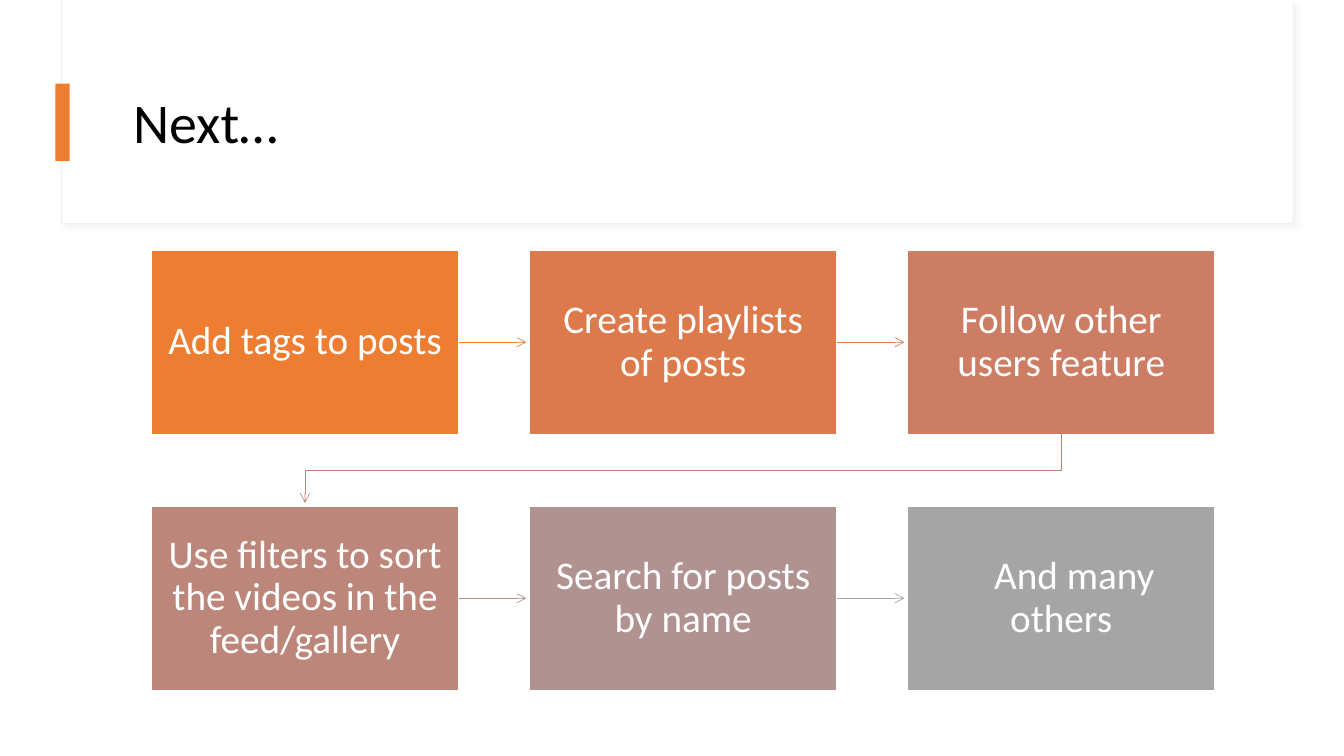
from lxml import etree
from pptx import Presentation
from pptx.dml.color import RGBColor
from pptx.enum.shapes import MSO_CONNECTOR, MSO_SHAPE
from pptx.enum.text import MSO_ANCHOR, MSO_AUTO_SIZE, PP_ALIGN
from pptx.oxml import parse_xml
from pptx.oxml.ns import nsdecls, qn
from pptx.util import Inches, Pt

RECT = MSO_SHAPE.RECTANGLE
STRAIGHT = MSO_CONNECTOR.STRAIGHT
MIDDLE = MSO_ANCHOR.MIDDLE
NO_AUTOFIT = MSO_AUTO_SIZE.NONE
LEFT, CENTER = PP_ALIGN.LEFT, PP_ALIGN.CENTER

FONT = "Calibri"
BLACK = RGBColor(0x00, 0x00, 0x00)
WHITE = RGBColor(0xFF, 0xFF, 0xFF)
PALE = RGBColor(0xEF, 0xEF, 0xEF)
ORANGE = RGBColor(0xED, 0x7D, 0x31)
GREY = RGBColor(0xA5, 0xA5, 0xA5)

# Text, box colour, colour of the arrow to the next step
STEPS = [
    ("Add tags to posts", ORANGE, ORANGE),
    ("Create playlists of posts", RGBColor(0xDC, 0x7A, 0x4B), RGBColor(0xD8, 0x7A, 0x51)),
    ("Follow other users feature", RGBColor(0xCC, 0x7D, 0x64), RGBColor(0xC4, 0x81, 0x70)),
    ("Use filters to sort the videos in the feed/gallery",
     RGBColor(0xBD, 0x86, 0x7B), RGBColor(0xB4, 0x90, 0x8B)),
    ("Search for posts by name", RGBColor(0xB0, 0x93, 0x91), GREY),
    ("And many others", GREY, None),
]
COLUMNS = 3
GRID_LEFT, GRID_TOP = 1.5, 2.48
BOX_W, BOX_H = 3.05, 1.83
STEP_X, STEP_Y = 3.75, 2.54
ARROW_GAP = 0.03


class FlowSlide:
    def __init__(self, prs):
        self.slide = prs.slides.add_slide(prs.slide_layouts[5])
        self.shapes = self.slide.shapes

    def rect(self, x, y, w, h, fill, line=None, width=0.75):
        sp = self.shapes.add_shape(RECT, Inches(x), Inches(y), Inches(w), Inches(h))
        sp.shadow.inherit = False
        sp.fill.solid()
        sp.fill.fore_color.rgb = fill
        if line is None:
            sp.line.fill.background()
        else:
            sp.line.color.rgb = line
            sp.line.width = Pt(width)
        return sp

    def soft_shadow(self, sp):
        effects = sp._element.spPr.find(qn("a:effectLst"))
        effects.append(parse_xml(
            f'<a:outerShdw {nsdecls("a")} blurRad="{Pt(4)}" dist="{Pt(3)}" dir="2700000" '
            'algn="tl" rotWithShape="0"><a:srgbClr val="D9D9D9">'
            '<a:alpha val="30000"/></a:srgbClr></a:outerShdw>'))

    def set_text(self, sp, text, size, color, align):
        tf = sp.text_frame
        tf.text = text
        tf.word_wrap = True
        tf.auto_size = NO_AUTOFIT
        tf.vertical_anchor = MIDDLE
        p = tf.paragraphs[0]
        p.alignment = align
        p.line_spacing = 0.9
        font = p.runs[0].font
        font.name, font.size, font.color.rgb = FONT, Pt(size), color
        return p

    def title(self, text, x, y, w, h):
        sp = self.shapes.title
        sp.left, sp.top, sp.width, sp.height = (Inches(v) for v in (x, y, w, h))
        self.set_text(sp, text, 40, BLACK, LEFT)
        self.shapes._spTree.append(sp._element)  # in front of the panel

    def box(self, x, y, text, fill):
        sp = self.rect(x, y, BOX_W, BOX_H, fill, WHITE, 1)
        tf = sp.text_frame
        tf.margin_left = tf.margin_right = Inches(0.15)
        tf.margin_top = tf.margin_bottom = Inches(0.16)
        return self.set_text(sp, text, 28, WHITE, CENTER)

    def arrow(self, points, color):
        """Draw an open-headed line through two or more points."""
        points = [(Inches(x), Inches(y)) for x, y in points]
        if len(points) == 2:
            sp = self.shapes.add_connector(STRAIGHT, *points[0], *points[1])
            etree.SubElement(sp._element.spPr, qn("a:effectLst"))
        else:
            builder = self.shapes.build_freeform(*points[0])
            builder.add_line_segments(points[1:], close=False)
            sp = builder.convert_to_shape()
            sp.shadow.inherit = False
            sp.fill.background()
        sp.line.color.rgb = color
        sp.line.width = Pt(0.5)
        ln = sp._element.spPr.find(qn("a:ln"))
        etree.SubElement(ln, qn("a:tailEnd"), type="arrow")


def main():
    prs = Presentation()
    prs.slide_width, prs.slide_height = Inches(13.33), Inches(7.5)
    s = FlowSlide(prs)

    s.soft_shadow(s.rect(0.61, 0.01, 12.21, 2.21, WHITE, PALE))
    s.rect(0.62, 0, 12.2, 2.2, WHITE)
    s.title("Next…", 1.22, 0.6, 11.12, 1.29)
    s.rect(0.55, 0.83, 0.14, 0.77, ORANGE)

    for i, (text, fill, arrow_color) in enumerate(STEPS):
        row, col = divmod(i, COLUMNS)
        x, y = GRID_LEFT + col * STEP_X, GRID_TOP + row * STEP_Y
        right, bottom = x + BOX_W, y + BOX_H
        p = s.box(x, y, text, fill)
        if arrow_color is None:
            p._p.get_or_add_pPr().set("indent", str(Inches(0.26)))
        elif col < COLUMNS - 1:
            mid = y + BOX_H / 2
            s.arrow([(right, mid), (x + STEP_X - ARROW_GAP, mid)], arrow_color)
        else:
            start, end = x + BOX_W / 2, GRID_LEFT + BOX_W / 2
            next_top = y + STEP_Y
            turn = (bottom + next_top) / 2
            s.arrow([(start, bottom), (start, turn), (end, turn),
                     (end, next_top - ARROW_GAP)], arrow_color)

    prs.save("out.pptx")


if __name__ == "__main__":
    main()
